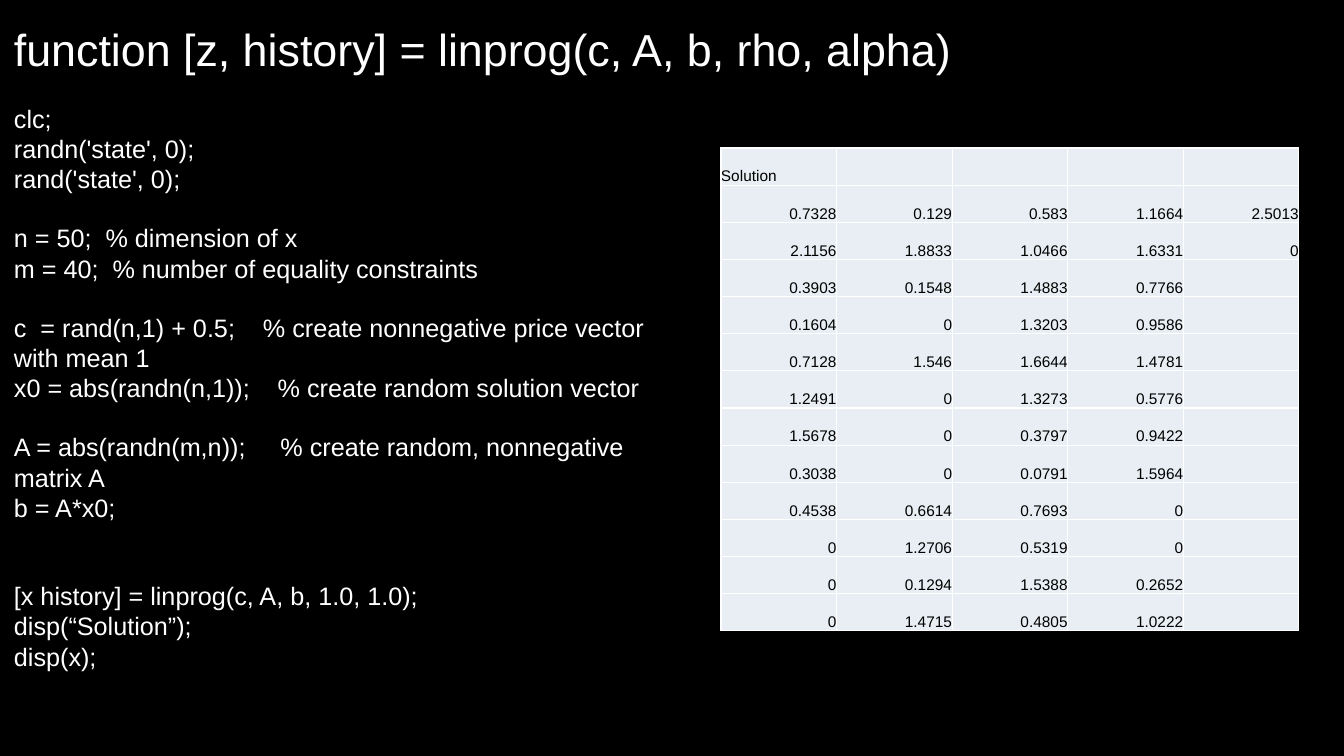
from dataclasses import dataclass

from lxml.etree import SubElement
from pptx import Presentation
from pptx.dml.color import RGBColor as RGB
from pptx.enum.text import MSO_ANCHOR as ANCHOR, MSO_AUTO_SIZE as AUTO, PP_ALIGN as ALIGN
from pptx.oxml.ns import qn
from pptx.util import Emu, Pt


@dataclass(frozen=True)
class Theme:
    font: str = "Arial"
    background: str = "000000"
    text: str = "FFFFFF"
    cell_text: str = "000000"
    cell_fill: str = "E8EEF3"
    border: str = "FFFFFF"
    title_size: int = 32
    code_size: int = 18
    cell_size: int = 11
    border_width: int = 1
    line_height: float = 1.15


THEME = Theme()
EMU_PER_PX = 914400 / 100.8

TITLE = "function [z, history] = linprog(c, A, b, rho, alpha)"
CODE_BLOCKS = [  # (blank lines above, code lines)
    (0, ["clc;", "randn('state', 0);", "rand('state', 0);"]),
    (1, ["n = 50;  % dimension of x", "m = 40;  % number of equality constraints"]),
    (1, ["c  = rand(n,1) + 0.5;    % create nonnegative price vector with mean 1",
         "x0 = abs(randn(n,1));    % create random solution vector"]),
    (1, ["A = abs(randn(m,n));     % create random, nonnegative matrix A", "b = A*x0;"]),
    (2, ["[x history] = linprog(c, A, b, 1.0, 1.0);", "disp(“Solution”);", "disp(x);"]),
]
SOLUTION = [
    ["Solution"],
    ["0.7328", "0.129", "0.583", "1.1664", "2.5013"],
    ["2.1156", "1.8833", "1.0466", "1.6331", "0"],
    ["0.3903", "0.1548", "1.4883", "0.7766"],
    ["0.1604", "0", "1.3203", "0.9586"],
    ["0.7128", "1.546", "1.6644", "1.4781"],
    ["1.2491", "0", "1.3273", "0.5776"],
    ["1.5678", "0", "0.3797", "0.9422"],
    ["0.3038", "0", "0.0791", "1.5964"],
    ["0.4538", "0.6614", "0.7693", "0"],
    ["0", "1.2706", "0.5319", "0"],
    ["0", "0.1294", "1.5388", "0.2652"],
    ["0", "1.4715", "0.4805", "1.0222"],
]
COLUMNS = 5


def px(n):
    return Emu(round(n * EMU_PER_PX))


def style_runs(p, size, color):
    for r in p.runs:
        r.font.name = THEME.font
        r.font.size = Pt(size)
        r.font.color.rgb = RGB.from_string(color)


def add_text_box(slide, box):
    tf = slide.shapes.add_textbox(*map(px, box)).text_frame
    tf.word_wrap = True
    tf.auto_size = AUTO.SHAPE_TO_FIT_TEXT
    return tf


def add_title(slide, box):
    tf = add_text_box(slide, box)
    tf.text = TITLE
    style_runs(tf.paragraphs[0], THEME.title_size, THEME.text)


def add_code(slide, box):
    tf = add_text_box(slide, box)
    lines = [(line, gap if i == 0 else 0)
             for gap, block in CODE_BLOCKS for i, line in enumerate(block)]
    for i, (line, gap) in enumerate(lines):
        p = tf.add_paragraph() if i else tf.paragraphs[0]
        p.text = line
        if gap:
            p.space_before = Pt(gap * THEME.code_size * THEME.line_height)
        style_runs(p, THEME.code_size, THEME.text)


def add_borders(cell):
    tc_pr = cell._tc.get_or_add_tcPr()
    for side in ("lnL", "lnR", "lnT", "lnB"):
        ln = SubElement(tc_pr, qn(f"a:{side}"), w=str(Pt(THEME.border_width)))
        fill = SubElement(ln, qn("a:solidFill"))
        SubElement(fill, qn("a:srgbClr"), val=THEME.border)


def style_cell(cell):
    cell.margin_left = cell.margin_right = cell.margin_top = cell.margin_bottom = 0
    cell.vertical_anchor = ANCHOR.BOTTOM
    add_borders(cell)
    cell.fill.solid()
    cell.fill.fore_color.rgb = RGB.from_string(THEME.cell_fill)


def add_solution_table(slide, box):
    table = slide.shapes.add_table(len(SOLUTION), COLUMNS, *map(px, box)).table
    table.first_row = table.horz_banding = False
    for i, values in enumerate(SOLUTION):
        for j in range(COLUMNS):
            cell = table.cell(i, j)
            style_cell(cell)
            if j < len(values):
                cell.text = values[j]
                p = cell.text_frame.paragraphs[0]
                p.alignment = ALIGN.RIGHT if i else ALIGN.LEFT
                style_runs(p, THEME.cell_size, THEME.cell_text)


def main():
    prs = Presentation()
    prs.slide_width, prs.slide_height = px(1344), px(756)
    slide = prs.slides.add_slide(prs.slide_layouts[6])
    slide.background.fill.solid()
    slide.background.fill.fore_color.rgb = RGB.from_string(THEME.background)
    add_title(slide, (4, 17, 970, 65))
    add_code(slide, (4, 98, 672, 591))
    add_solution_table(slide, (721, 148, 578, 483))
    prs.save("out.pptx")


if __name__ == "__main__":
    main()
